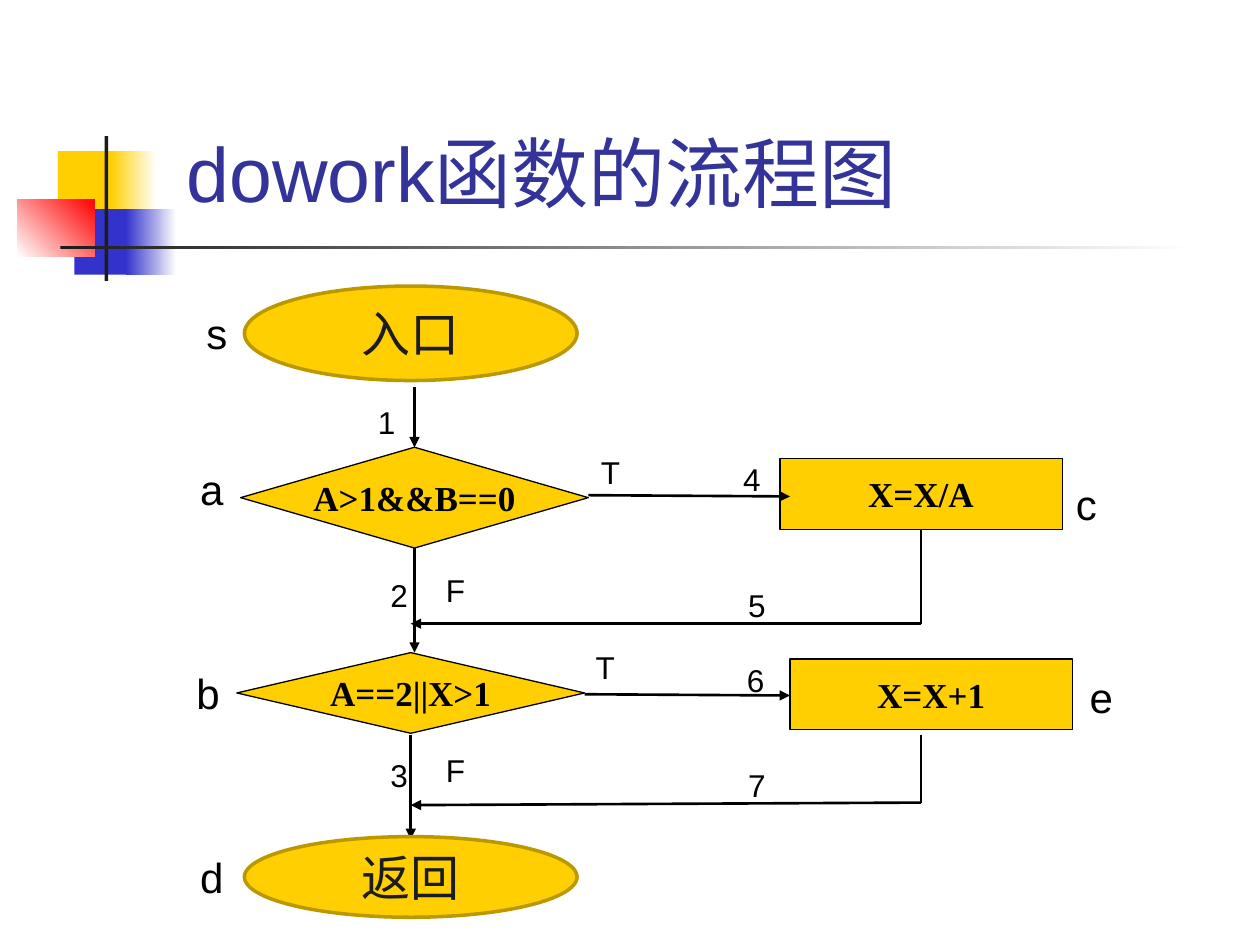
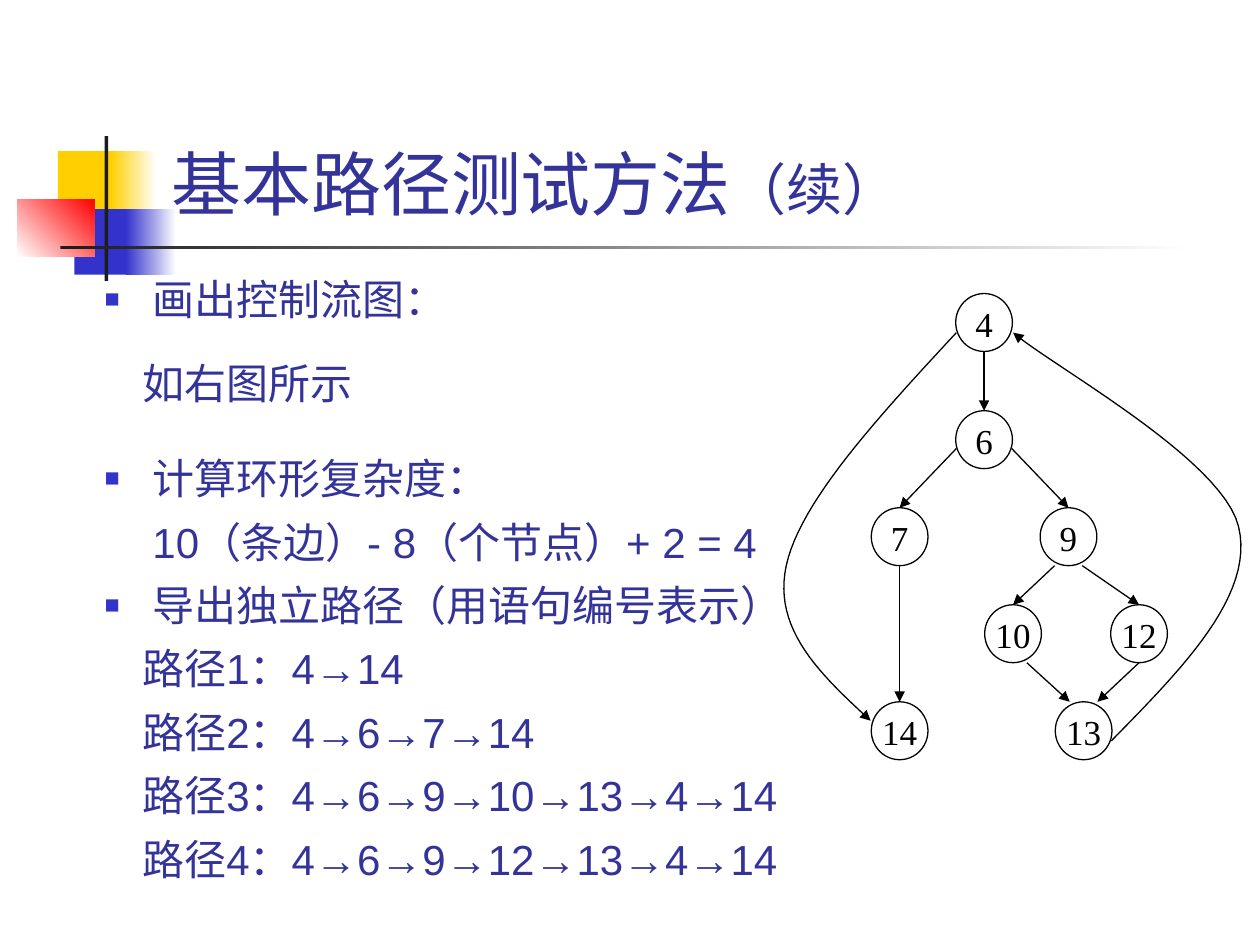
import pptx
import pptx.util
import pptx.dml.color
import pptx.enum.shapes
import pptx.enum.text
from lxml import etree
from pptx.oxml.ns import qn

Inches, Pt = pptx.util.Inches, pptx.util.Pt
MSO = pptx.enum.shapes.MSO_SHAPE
ALIGN = pptx.enum.text.PP_ALIGN
ANCHOR = pptx.enum.text.MSO_ANCHOR
AUTO_SIZE = pptx.enum.text.MSO_AUTO_SIZE
rgb = pptx.dml.color.RGBColor.from_string

GOLD, BLUE, INK, TITLE, BLACK = "FFCF01", "3333CC", "1C1C1C", "333399", "000000"
SERIF = "Times New Roman"


def style(shape, fill=None, line=None, width=0.75, arrow=False):
    """Set fill (one hex colour or a gradient pair), line and arrowhead, without shadow."""
    if isinstance(fill, tuple):
        shape.fill.gradient()
        for stop, color in zip(shape.fill.gradient_stops, fill):
            stop.color.rgb = rgb(color)
    elif fill:
        shape.fill.solid()
        shape.fill.fore_color.rgb = rgb(fill)
    elif hasattr(shape, "fill"):
        shape.fill.background()
    if line:
        shape.line.color.rgb = rgb(line)
        shape.line.width = Pt(width)
    else:
        shape.line.fill.background()
    properties = shape.element.spPr
    if arrow:
        etree.SubElement(properties.get_or_add_ln(), qn("a:tailEnd"), type="triangle")
    etree.SubElement(properties, qn("a:effectLst"))


def write(frame, text, size, color, font="Arial", bold=False, align=ALIGN.LEFT):
    frame.text = text
    frame.paragraphs[0].alignment = align
    run = frame.paragraphs[0].runs[0]
    run.font.size, run.font.name, run.font.bold = Pt(size), font, bold
    run.font.color.rgb = rgb(color)


prs = pptx.Presentation()
prs.slide_width, prs.slide_height = Inches(10), Inches(7.5)
flow = prs.slides.add_slide(prs.slide_layouts[5])
paths = prs.slides.add_slide(prs.slide_layouts[1])

# Decoration, drawn once and moved to the slide master
decoration = [
    (0.46, 1.2, 0.48, 0.52, GOLD, 0),
    (0.88, 1.2, 0.36, 0.52, (GOLD, "FFFFFF"), 0),
    (0.59, 1.66, 0.46, 0.52, BLUE, 0),
    (1, 1.66, 0.4, 0.52, (BLUE, "FFFFFF"), 0),
    (0.14, 1.58, 0.61, 0.46, ("FFFFFF", "FF0000"), 45),
    (0.83, 1.08, 0.03, 1.15, INK, 0),
    (0.48, 1.95, 9, 0.03, (INK, "FFFFFF"), 0),
]
for index, (*box, fill, angle) in enumerate(decoration):
    block = flow.shapes.add_shape(MSO.RECTANGLE, *map(Inches, box))
    style(block, fill)
    if isinstance(fill, tuple):
        block.fill.gradient_angle = angle
    block.element.nvSpPr.cNvPr.set("id", str(20 + index))
    prs.slide_master.shapes.element.insert(2 + index, block.element)

# Titles
for slide, text, size, box in [
    (flow, "dowork函数的流程图", 44, (1.38, 0.84, 7.64, 0.94)),
    (paths, "基本路径测试方法", 40, (1.26, 0.23, 8.52, 1.6)),
]:
    title = slide.shapes.title
    title.left, title.top, title.width, title.height = map(Inches, box)
    title.text_frame.auto_size = AUTO_SIZE.NONE
    title.text_frame.vertical_anchor = ANCHOR.BOTTOM
    write(title.text_frame, text, size, TITLE)
continued = title.text_frame.paragraphs[0].add_run()
continued.text = "（续）"
continued.font.size, continued.font.name = Pt(32), "Arial"
continued.font.color.rgb = rgb(TITLE)

# Slide 1: decisions and processes
for kind, text, box in [
    (MSO.FLOWCHART_DECISION, "A>1&&B==0", (1.91, 3.55, 2.76, 0.8)),
    (MSO.FLOWCHART_PROCESS, "X=X/A", (6.19, 3.64, 2.24, 0.56)),
    (MSO.FLOWCHART_PROCESS, "X=X+1", (6.27, 5.23, 2.24, 0.56)),
    (MSO.FLOWCHART_DECISION, "A==2||X>1", (1.88, 5.18, 2.76, 0.64)),
]:
    step = flow.shapes.add_shape(kind, *map(Inches, box))
    style(step, GOLD, BLACK)
    step.text_frame.word_wrap = False
    write(step.text_frame, text, 20, BLACK, SERIF, True, ALIGN.CENTER)

# Flow lines: start, end, arrowhead
for *ends, arrow in [
    (3.29, 3.07, 3.29, 3.55, True),
    (4.67, 3.93, 6.27, 3.94, True),
    (3.29, 4.35, 3.29, 5.18, True),
    (4.64, 5.51, 6.27, 5.52, True),
    (3.26, 5.83, 3.26, 6.66, True),
    (7.31, 4.2, 7.31, 4.95, False),
    (7.31, 4.95, 3.26, 4.95, True),
    (7.31, 5.83, 7.31, 6.37, False),
    (7.31, 6.37, 3.26, 6.39, True),
]:
    link = flow.shapes.add_connector(pptx.enum.shapes.MSO_CONNECTOR.STRAIGHT, *map(Inches, ends))
    style(link, line=BLACK, width=1.5, arrow=arrow)

for text, top, height in [("返回", 6.64, 0.64), ("入口", 2.27, 0.75)]:
    terminal = flow.shapes.add_shape(MSO.OVAL, Inches(1.94), Inches(top), Inches(2.64), Inches(height))
    style(terminal, GOLD, "BC9800", 2)
    write(terminal.text_frame, text, 28, INK, align=ALIGN.CENTER)

# Node letters, edge numbers and branch marks
node_letters = [("s", 1.54, 2.39), ("a", 1.49, 3.63), ("b", 1.46, 5.25),
                ("d", 1.49, 6.71), ("c", 8.44, 3.75), ("e", 8.55, 5.28)]
edge_marks = [("1", 2.9, 3.15), ("2", 3, 4.52), ("3", 3, 5.95), ("4", 5.8, 3.6),
              ("5", 5.84, 4.6), ("6", 5.83, 5.2), ("7", 5.84, 6.03),
              ("T", 4.67, 3.55), ("F", 3.44, 4.48), ("F", 3.44, 5.91), ("T", 4.63, 5.09)]
for marks, size, width, height in [(node_letters, 24, 0.38, 0.5), (edge_marks, 18, 0.34, 0.4)]:
    for text, left, top in marks:
        mark = flow.shapes.add_textbox(*map(Inches, (left, top, width, height)))
        mark.text_frame.word_wrap = False
        mark.text_frame.auto_size = AUTO_SIZE.SHAPE_TO_FIT_TEXT
        write(mark.text_frame, text, size, BLACK)

# Slide 2: method steps as text, bulleted, left margin
steps = [
    ("画出控制流图：", True, 0.38),
    ("如右图所示", False, 0.3),
    ("计算环形复杂度：", True, 0.38),
    ("10（条边）- 8（个节点）+ 2 = 4", False, 0.38),
    ("导出独立路径（用语句编号表示）", True, 0.38),
    ("路径1：4→14", False, 0.3),
    ("路径2：4→6→7→14", False, 0.3),
    ("路径3：4→6→9→10→13→4→14", False, 0.3),
    ("路径4：4→6→9→12→13→4→14", False, 0.3),
]
body = paths.placeholders[1]
body.left, body.top, body.width, body.height = map(Inches, (0.73, 2.1, 9, 5.28))
body.text_frame.auto_size = AUTO_SIZE.NONE
body.text_frame.text = "\n".join(text for text, _, _ in steps)
for index, (paragraph, (_, bulleted, margin)) in enumerate(zip(body.text_frame.paragraphs, steps)):
    paragraph.line_spacing = 1.05
    paragraph.space_before = Pt(6 if index else 0)
    if index == 1:
        paragraph.space_before = paragraph.space_after = Pt(18)
    layout = paragraph._p.get_or_add_pPr()
    layout.set("marL", str(Inches(margin)))
    layout.set("indent", str(Inches(-margin if bulleted else 0)))
    if bulleted:
        bullet_color = etree.SubElement(layout, qn("a:buClr"))
        etree.SubElement(bullet_color, qn("a:srgbClr"), val=BLUE)
        etree.SubElement(layout, qn("a:buSzPct"), val="60000")
        etree.SubElement(layout, qn("a:buFont"), typeface="Arial")
        etree.SubElement(layout, qn("a:buChar"), char="■")
    else:
        etree.SubElement(layout, qn("a:buNone"))
    for run in paragraph.runs:
        run.font.size, run.font.name = Pt(24), "Arial"
        run.font.color.rgb = rgb(TITLE)

# Control flow graph: node centres by statement number
WIDTH, HEIGHT = 0.45, 0.46
centres = {4: (7.81, 2.56), 6: (7.81, 3.49), 7: (7.14, 4.26), 9: (8.48, 4.26),
           10: (8.04, 5.03), 12: (9.04, 5.03), 13: (8.6, 5.8), 14: (7.14, 5.8)}
for number, (x, y) in centres.items():
    node = paths.shapes.add_shape(
        MSO.OVAL, *map(Inches, (x - WIDTH / 2, y - HEIGHT / 2, WIDTH, HEIGHT)))
    style(node, line=BLACK)
    frame = node.text_frame
    frame.margin_left = frame.margin_right = frame.margin_top = frame.margin_bottom = 0
    frame.vertical_anchor = ANCHOR.TOP
    write(frame, str(number), 20, BLACK, SERIF, align=ALIGN.CENTER)

# Edges: source, target, offset where it leaves the source, shift along the target's top
for source, target, (dx, dy), shift in [
    (4, 6, (0, 0.23), 0), (6, 7, (-0.22, 0.07), 0), (6, 9, (0.22, 0.07), 0),
    (9, 10, (-0.11, 0.23), 0), (9, 12, (0.11, 0.23), 0),
    (10, 13, (0.11, 0.23), -0.11), (12, 13, (0, 0.23), 0.11), (7, 14, (0, 0.23), 0),
]:
    (x1, y1), (x2, y2) = centres[source], centres[target]
    ends = (x1 + dx, y1 + dy, x2 + shift, y2 - HEIGHT / 2)
    edge = paths.shapes.add_connector(pptx.enum.shapes.MSO_CONNECTOR.STRAIGHT, *map(Inches, ends))
    style(edge, line=BLACK, arrow=True)

# Long edges 4→14 and 13→4: Bezier control points, two joined cubic pieces each
for controls in [
    [(7.59, 2.64), (6.97, 3.31), (6.35, 3.98), (6.24, 4.49), (6.13, 5), (6.52, 5.36), (6.91, 5.72)],
    [(8.82, 5.88), (9.39, 5.3), (9.96, 4.72), (9.83, 4.18), (9.7, 3.64), (8.34, 2.9), (8.04, 2.64)],
]:
    points = []
    for first in (0, 3):
        for t in (n / 24 for n in range(1, 25)):
            weights = ((1 - t) ** 3, 3 * t * (1 - t) ** 2, 3 * t ** 2 * (1 - t), t ** 3)
            piece = controls[first:first + 4]
            points.append(tuple(Inches(sum(w * p[axis] for w, p in zip(weights, piece)))
                                for axis in (0, 1)))
    outline = paths.shapes.build_freeform(*map(Inches, controls[0]))
    outline.add_line_segments(points, close=False)
    style(outline.convert_to_shape(), line=BLACK, arrow=True)

prs.save("out.pptx")
